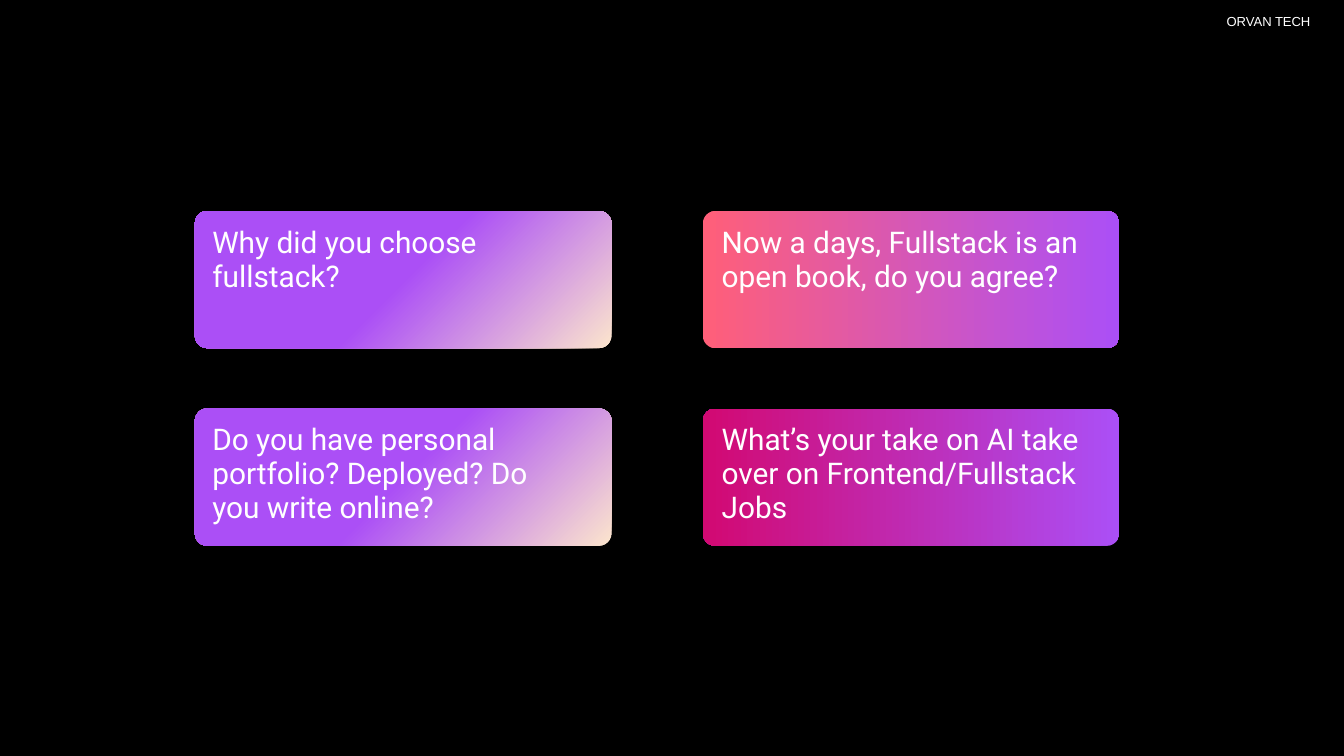
from copy import deepcopy
from pptx import Presentation
from pptx.dml.color import RGBColor
from pptx.enum.shapes import MSO_SHAPE
from pptx.enum.text import MSO_ANCHOR, MSO_AUTO_SIZE, PP_ALIGN
from pptx.oxml.ns import qn
from pptx.util import Inches, Pt

ROUND = MSO_SHAPE.ROUNDED_RECTANGLE
TOP, MID = MSO_ANCHOR.TOP, MSO_ANCHOR.MIDDLE
LEFT, RIGHT = PP_ALIGN.LEFT, PP_ALIGN.RIGHT
FIXED = MSO_AUTO_SIZE.NONE

HUES = {"black": "000000", "white": "FFFFFF", "cream": "FCE5CD",
        "violet": "AB4FF6", "coral": "FF5F79", "pink": "D20972"}

# Grid of cards and of their texts, in inches
COLS, ROWS = (1.45, 5.23), (1.57, 3.04)
WIDE, HIGH = 3.1, 1.02
PADS, DROP = (0.13, 0.14), 0.11

# Gradients: angle, then stops as (place, colour)
DAWN = 135, [(0, "cream"), (0.5, "violet"), (1, "violet")]
DUSK = 0, [(0, "coral"), (1, "violet")]
ROSE = 180, [(0, "violet"), (1, "pink")]

CARDS = [  # column, row, gradient, question
    (0, 0, DAWN, "Why did you choose fullstack?"),
    (1, 0, DUSK, "Now a days, Fullstack is an open book, do you agree?"),
    (0, 1, DAWN, "Do you have personal portfolio? Deployed? Do you write online?"),
    (1, 1, ROSE, "What’s your take on AI take over on Frontend/Fullstack Jobs"),
]


def rgb(name):
    return RGBColor.from_string(HUES[name])


def write(box, text, area, face, size, align, anchor, space):
    box.left, box.top, box.width, box.height = map(Inches, area)
    frame = box.text_frame
    frame.text = text
    look = {"margin_left": 0, "margin_top": 0, "margin_right": 0,
            "margin_bottom": 0, "word_wrap": True, "auto_size": FIXED,
            "vertical_anchor": anchor}
    for key, val in look.items():
        setattr(frame, key, val)
    para = frame.paragraphs[0]
    props = para._p.get_or_add_pPr()
    props.set("marL", "0")
    props.set("indent", "0")
    props.append(props.makeelement(qn("a:buNone"), {}))
    for key, val in {"alignment": align, "line_spacing": space,
                     "space_before": Pt(0)}.items():
        setattr(para, key, val)
    font = para.runs[0].font
    for key, val in {"name": face, "size": Pt(size), "bold": False}.items():
        setattr(font, key, val)
    font.color.rgb = rgb("white")


# Wide 16:9 slide with a title and four text places
deck = Presentation()
deck.slide_width = Inches(10)
deck.slide_height = deck.slide_width * 9 // 16
slide = deck.slides.add_slide(deck.slide_layouts[4])
back = slide.background.fill
back.solid()
back.fore_color.rgb = rgb("black")

# Title in the top right corner
title, *boxes = slide.placeholders
write(title, "ORVAN TECH", (7.02, 0.06, 2.73, 0.19), "Arial", 7, RIGHT, MID, 1.0)

for box, (col, row, (angle, stops), text) in zip(boxes, CARDS):
    x, y = COLS[col], ROWS[row]

    # Card, placed behind the text
    card = slide.shapes.add_shape(ROUND, *map(Inches, (x, y, WIDE, HIGH)))
    card.adjustments[0] = 0.09
    card.shadow.inherit = False
    card.line.fill.background()
    card._element.getparent().insert(2, card._element)

    # Gradient with as many stops as needed
    card.fill.gradient()
    card.fill.gradient_angle = angle
    marks = card._element.find(".//" + qn("a:gsLst"))
    while len(marks) < len(stops):
        marks.append(deepcopy(marks[-1]))
    for stop, (place, name) in zip(card.fill.gradient_stops, stops):
        stop.position = place
        stop.color.rgb = rgb(name)

    # Question
    area = x + PADS[col], y + DROP, 2.66, 0.47
    write(box, text, area, "Roboto", 16, LEFT, TOP, 0.95)

deck.save("out.pptx")
